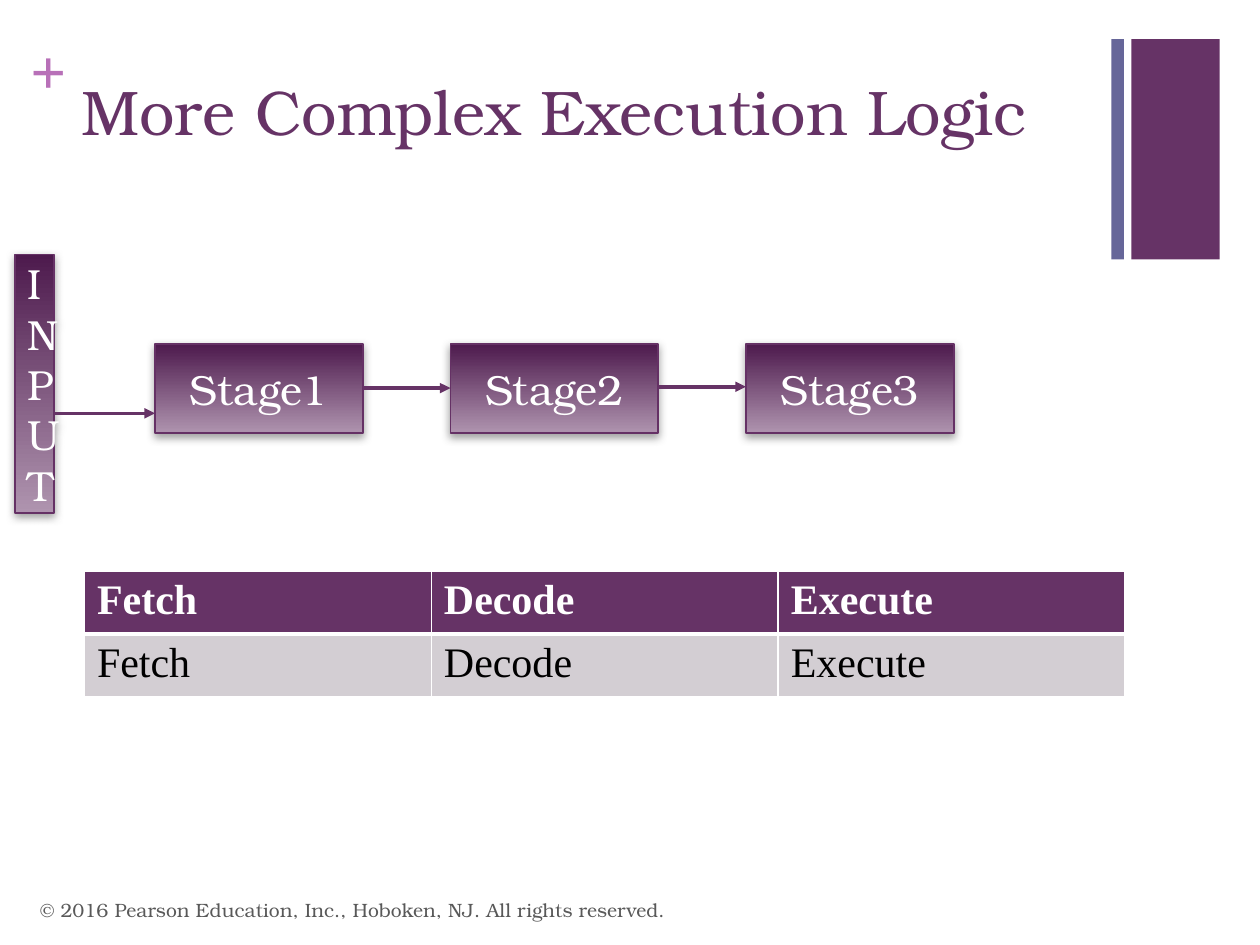
from dataclasses import dataclass

import lxml.etree
import pptx
import pptx.dml.color
import pptx.enum.shapes
import pptx.enum.text
import pptx.oxml.ns
import pptx.util

Inches = pptx.util.Inches
Pt = pptx.util.Pt
ALIGN = pptx.enum.text.PP_ALIGN
ANCHOR = pptx.enum.text.MSO_ANCHOR
RECTANGLE = pptx.enum.shapes.MSO_SHAPE.RECTANGLE
STRAIGHT = pptx.enum.shapes.MSO_CONNECTOR.STRAIGHT
qn = pptx.oxml.ns.qn


@dataclass(frozen=True)
class Theme:
    purple: str = "663366"
    blue: str = "666699"
    plus: str = "B870B8"
    outline: str = "653165"
    grad_top: str = "4D1A4D"
    grad_bottom: str = "AF94AF"
    shadow: str = "808080"
    band: str = "D3CED3"
    footer: str = "595959"
    white: str = "FFFFFF"
    black: str = "000000"
    serif: str = "TeX Gyre Bonum"
    plain: str = "Times New Roman"
    title_size: int = 36
    body_size: int = 24
    footer_size: int = 11


@dataclass(frozen=True)
class Box:
    x: float
    y: float
    w: float
    h: float

    def emu(self) -> list:
        return [Inches(v) for v in (self.x, self.y, self.w, self.h)]


@dataclass(frozen=True)
class Block:
    text: str
    box: Box


@dataclass(frozen=True)
class Arrow:
    x1: float
    x2: float
    y: float


THEME = Theme()

# Pipeline layout
STAGE_X, STAGE_Y, STAGE_W, STAGE_H, STAGE_STEP = 1.23, 2.73, 1.65, 0.71, 2.345
INPUT = Block("INPUT", Box(0.12, 2.02, 0.31, 2.05))
STAGES = [
    Block(f"Stage{i + 1}", Box(STAGE_X + i * STAGE_STEP, STAGE_Y, STAGE_W, STAGE_H))
    for i in range(3)
]
CHAIN = [INPUT, *STAGES]
ARROWS = [
    Arrow(a.box.x + a.box.w, b.box.x, y)
    for a, b, y in zip(CHAIN, CHAIN[1:], (3.28, 3.08, 3.07))
]
STEPS = ["Fetch", "Decode", "Execute"]


def rgb(color: str):
    return pptx.dml.color.RGBColor.from_string(color)


def write(tf, text: str, size: int, color: str, font: str = THEME.serif,
          bold: bool = False, align=ALIGN.LEFT) -> None:
    p = tf.paragraphs[0]
    p.alignment = align
    r = p.add_run()
    r.text = text
    for name, value in {"size": Pt(size), "name": font, "bold": bold}.items():
        setattr(r.font, name, value)
    r.font.color.rgb = rgb(color)


def add_text(slide, box: Box, text: str, size: int, color: str,
             font: str = THEME.serif, bold: bool = False,
             anchor=ANCHOR.TOP, margins: dict = {}) -> None:
    tf = slide.shapes.add_textbox(*box.emu()).text_frame
    for name, value in {"word_wrap": True, "vertical_anchor": anchor, **margins}.items():
        setattr(tf, name, value)
    write(tf, text, size, color, font, bold)


def add_bar(slide, box: Box, color: str) -> None:
    s = slide.shapes.add_shape(RECTANGLE, *box.emu())
    s.shadow.inherit = False
    s.fill.solid()
    s.fill.fore_color.rgb = rgb(color)
    s.line.fill.background()


def add_block(slide, block: Block) -> None:
    s = slide.shapes.add_shape(RECTANGLE, *block.box.emu())
    s.fill.gradient()
    s.fill.gradient_angle = 270
    for stop, color in zip(s.fill.gradient_stops, (THEME.grad_top, THEME.grad_bottom)):
        stop.color.rgb = rgb(color)
    s.line.color.rgb = rgb(THEME.outline)
    s.line.width = Pt(1)

    # Soft shadow below the block
    s.shadow.inherit = False
    effects = s.element.spPr.find(qn("a:effectLst"))
    shadow = lxml.etree.SubElement(
        effects, qn("a:outerShdw"), blurRad=str(Pt(5)), dist=str(Pt(2)),
        dir="5400000", algn="ctr", rotWithShape="0")
    clr = lxml.etree.SubElement(shadow, qn("a:srgbClr"), val=THEME.shadow)
    lxml.etree.SubElement(clr, qn("a:alpha"), val="75000")

    tf = s.text_frame
    tf.word_wrap = True
    tf.vertical_anchor = ANCHOR.MIDDLE
    write(tf, block.text, THEME.body_size, THEME.white, align=ALIGN.CENTER)


def add_arrow(slide, arrow: Arrow) -> None:
    y = Inches(arrow.y)
    s = slide.shapes.add_connector(STRAIGHT, Inches(arrow.x1), y, Inches(arrow.x2), y)
    s.line.color.rgb = rgb(THEME.purple)
    s.line.width = Pt(2)
    spPr = s.element.spPr
    lxml.etree.SubElement(spPr.find(qn("a:ln")), qn("a:tailEnd"), type="triangle")
    lxml.etree.SubElement(spPr, qn("a:effectLst"))


def set_borders(cell, bottom: int) -> None:
    tcPr = cell._tc.get_or_add_tcPr()
    for side, width in {"lnL": 1, "lnR": 1, "lnT": 1, "lnB": bottom}.items():
        ln = lxml.etree.SubElement(tcPr, qn(f"a:{side}"), w=str(Pt(width)))
        fill = lxml.etree.SubElement(ln, qn("a:solidFill"))
        lxml.etree.SubElement(fill, qn("a:srgbClr"), val=THEME.white)


def add_steps_table(slide, box: Box) -> None:
    table = slide.shapes.add_table(2, len(STEPS), *box.emu()).table
    rows = [(THEME.purple, THEME.white, True, 3), (THEME.band, THEME.black, False, 1)]
    for i, (fill, color, bold, bottom) in enumerate(rows):
        for j, step in enumerate(STEPS):
            cell = table.cell(i, j)
            set_borders(cell, bottom)
            cell.fill.solid()
            cell.fill.fore_color.rgb = rgb(fill)
            write(cell.text_frame, step, THEME.body_size, color, THEME.plain, bold)


def main() -> None:
    prs = pptx.Presentation()
    prs.slide_width, prs.slide_height = Inches(10), Inches(7.5)
    slide = prs.slides.add_slide(prs.slide_layouts[6])

    # Corner decoration
    add_bar(slide, Box(8.98, 0.31, 0.7, 1.75), THEME.purple)
    no_margins = {f"margin_{side}": 0 for side in ("left", "top", "right", "bottom")}
    add_text(slide, Box(0.24, 0.25, 0.29, 0.61), "+", THEME.title_size, THEME.plus,
             THEME.plain, bold=True, margins=no_margins)
    add_bar(slide, Box(8.82, 0.31, 0.1, 1.75), THEME.blue)

    # Title, table and footer
    add_text(slide, Box(0.55, 0.53, 8.26, 1.22), "More Complex Execution Logic",
             THEME.title_size, THEME.purple)
    add_steps_table(slide, Box(0.67, 4.53, 8.26, 0.81))
    add_text(slide, Box(0.22, 7.02, 6.7, 0.4),
             "© 2016 Pearson Education, Inc., Hoboken, NJ. All rights reserved.",
             THEME.footer_size, THEME.footer, anchor=ANCHOR.MIDDLE)

    # Pipeline
    for block in CHAIN:
        add_block(slide, block)
    for arrow in ARROWS:
        add_arrow(slide, arrow)

    prs.save("out.pptx")


if __name__ == "__main__":
    main()
